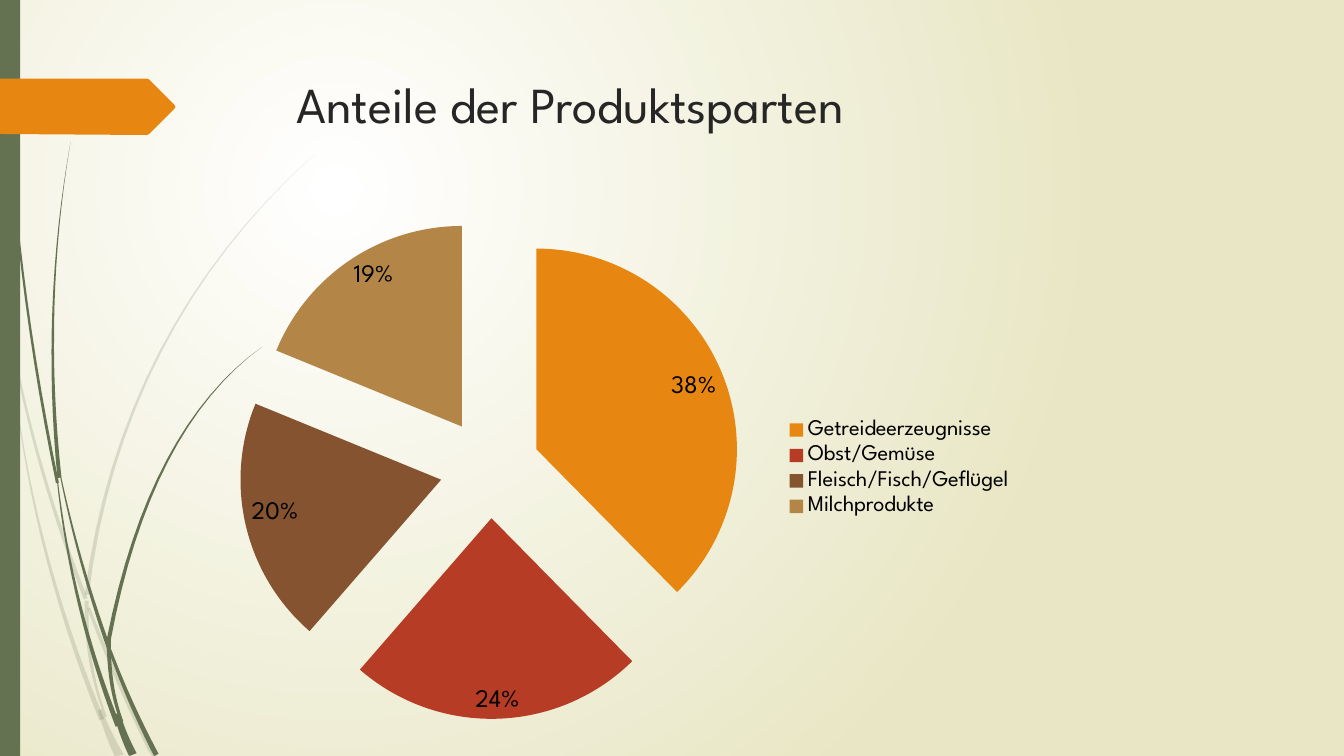
import math

from lxml import etree
from pptx import Presentation
from pptx import util as u
from pptx.chart import data as chart_data
from pptx.dml.color import RGBColor
from pptx.enum import chart as charts, shapes, text
from pptx.oxml.ns import qn

PX = 9144
CURVE_STEPS = 16
FONT = "League Spartan"
COLORS = {
    "white": "FFFFFF", "sand": "E8E6C4", "green": "647252", "ink": "262626",
    "black": "000000", "orange": "E78712", "red": "B73C26", "brown": "865331", "ochre": "B38648",
}

PALE_GRASS = [
    ((0, 290), (5, 318), (11, 350), 4, 1),
    ((14, 350), (43, 470), (85, 594), 2, 4),
    ((88, 603), (118, 677), (153, 751), 3, 5),
    ((11, 350), (42, 534), (101, 714), 0, 5),
    ((312, 153), (159, 349), (86, 590), 0, 4),
    ((86, 596), (90, 656), (105, 711), 4, 2),
    ((99, 704), (108, 728), (119, 751), 4, 9),
]
DARK_GRASS = [
    ((4, 0), (19, 240), (57, 479), 1, 3),
    ((60, 472), (81, 558), (108, 643), 1, 4),
    ((109, 645), (130, 697), (155, 749), 3, 5),
    ((57, 477), (79, 600), (117, 720), 1, 5),
    ((70, 141), (53, 306), (59, 474), 0, 4),
    ((260, 344), (166, 457), (108, 634), 0, 4),
    ((108, 633), (111, 678), (121, 716), 4, 3),
    ((116, 708), (123, 729), (132, 749), 6, 8),
]
BANNER = [(0, 78), (146, 78), (148, 79), (173, 104), (174, 106), (173, 108), (148, 133), (146, 134), (0, 133)]
SHARES = [
    ("Getreideerzeugnisse", 38, "orange"),
    ("Obst/Gemüse", 24, "red"),
    ("Fleisch/Fisch/Geflügel", 20, "brown"),
    ("Milchprodukte", 19, "ochre"),
]


def color(name):
    return RGBColor.from_string(COLORS[name])


def blade_outline(start, middle, end, start_width, end_width):
    bend = [2 * m - (a + b) / 2 for a, m, b in zip(start, middle, end)]
    left, right = [], []
    for step in range(CURVE_STEPS + 1):
        t = step / CURVE_STEPS
        s = 1 - t
        x, y = (s * s * a + 2 * s * t * c + t * t * b for a, c, b in zip(start, bend, end))
        dx, dy = (s * (c - a) + t * (b - c) for a, c, b in zip(start, bend, end))
        half = (s * start_width + t * end_width) / 2 / math.hypot(dx, dy)
        left.append((max(x - dy * half, 0), min(y + dx * half, 750)))
        right.append((max(x + dy * half, 0), min(y - dx * half, 750)))
    return left + right[::-1]


class Slide:
    def __init__(self, deck):
        self.page = deck.slides.add_slide(deck.slide_layouts[6])

    def background(self, inner, outer):
        fill = self.page.background.fill
        fill.gradient()
        for stop, name in zip(fill.gradient_stops, (inner, outer)):
            stop.color.rgb = color(name)
        gradient = self.page.element.find(".//" + qn("a:gradFill"))
        gradient.remove(gradient.find(qn("a:lin")))
        circle = etree.SubElement(gradient, qn("a:path"), {"path": "circle"})
        etree.SubElement(circle, qn("a:fillToRect"), l="50000", t="50000", r="100000", b="100000")

    def paint(self, shape, name, alpha=100):
        shape.shadow.inherit = False
        shape.fill.solid()
        shape.fill.fore_color.rgb = color(name)
        shape.line.fill.background()
        if alpha < 100:
            solid = shape.element.spPr.find(qn("a:solidFill"))
            etree.SubElement(solid[0], qn("a:alpha"), val=str(alpha * 1000))

    def outline(self, points, name, alpha=100, group=None):
        corners = [(x * PX, y * PX) for x, y in points]
        owner = self.page if group is None else group
        builder = owner.shapes.build_freeform(*corners[0], scale=1.0)
        builder.add_line_segments(corners[1:], close=True)
        self.paint(builder.convert_to_shape(), name, alpha)

    def grass(self, blades, name, alpha=100):
        group = self.page.shapes.add_group_shape()
        for blade in blades:
            self.outline(blade_outline(*blade), name, alpha, group)

    def rectangle(self, place, name):
        box = self.page.shapes.add_shape(shapes.MSO_SHAPE.RECTANGLE, *(n * PX for n in place))
        self.paint(box, name)

    def title(self, place, words, size, name):
        box = self.page.shapes.add_textbox(*(n * PX for n in place))
        box.text_frame.word_wrap = True
        box.text_frame.vertical_anchor = text.MSO_ANCHOR.TOP
        span = box.text_frame.paragraphs[0].add_run()
        span.text = words
        self.style(span.font, size, name)

    def style(self, font, size, name):
        font.name = FONT
        font.size = u.Pt(size)
        font.color.rgb = color(name)

    def pie(self, place, shares):
        data = chart_data.CategoryChartData()
        data.categories = [label for label, value, name in shares]
        data.add_series("Series 1", [value for label, value, name in shares])
        chart = self.page.shapes.add_chart(charts.XL_CHART_TYPE.PIE, *(n * PX for n in place), data).chart
        chart.has_title = False
        self.style(chart.font, 18, "black")
        chart.has_legend = True
        chart.legend.position = charts.XL_LEGEND_POSITION.RIGHT
        chart.legend.include_in_layout = False
        self.style(chart.legend.font, 16, "black")
        plot = chart.plots[0]
        plot.vary_by_categories = True
        series = plot.series[0]
        for index, (label, value, name) in enumerate(shares):
            part = series.points[index].format
            part.fill.solid()
            part.fill.fore_color.rgb = color(name)
            part.line.fill.background()
        explosion = etree.Element(qn("c:explosion"), val="25")
        series._element.find(qn("c:dPt")).addprevious(explosion)
        plot.has_data_labels = True
        labels = plot.data_labels
        labels.show_value = False
        labels.show_percentage = True
        labels.number_format = "0%"
        labels.number_format_is_linked = False
        labels.position = charts.XL_LABEL_POSITION.INSIDE_END
        self.style(labels.font, 18, "black")


def main():
    deck = Presentation()
    deck.slide_width, deck.slide_height = 1333 * PX, 750 * PX
    slide = Slide(deck)
    slide.background("white", "sand")
    slide.grass(PALE_GRASS, "green", 20)
    slide.grass(DARK_GRASS, "green")
    slide.rectangle((0, 0, 20, 750), "green")
    slide.outline(BANNER, "orange")
    slide.title((284, 68, 975, 140), "Anteile der Produktsparten", 36, "ink")
    slide.pie((196, 202, 820, 525), SHARES)
    deck.save("out.pptx")


if __name__ == "__main__":
    main()
